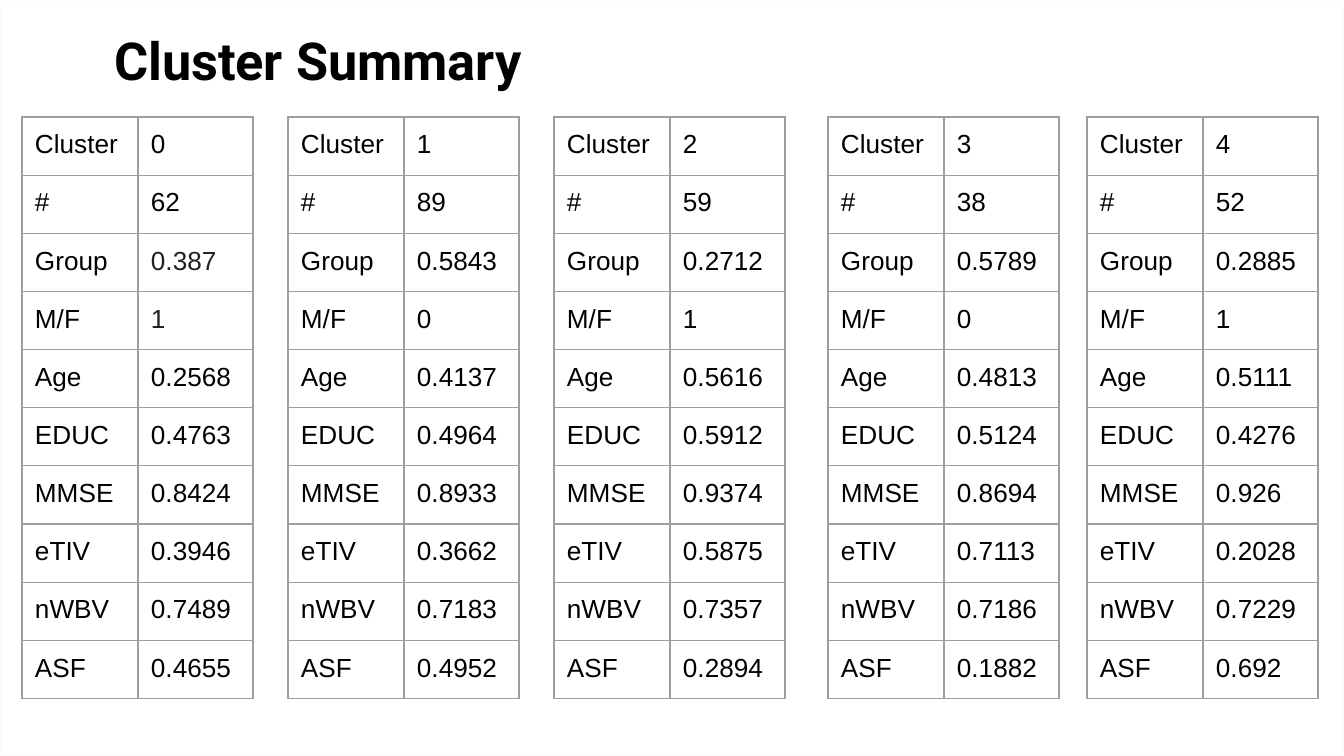
from lxml import etree
from pptx import Presentation
from pptx import util as u
from pptx.dml.color import RGBColor
from pptx.enum import shapes, text
from pptx.oxml import ns

PX = 914400 / 134.4  # EMU per px
W, H = 1344, 756
INSET = 13
TABLE_TOP, TABLE_HEIGHT = 117, 582
COLUMN_WIDTHS = (116, 115)
BLACK, DARK_GREY, BORDER = "000000", "212121", "9E9E9E"

LABELS = ["Cluster", "#", "Group", "M/F", "Age", "EDUC", "MMSE", "eTIV", "nWBV", "ASF"]
# Left edge of each table and its values, in the order of LABELS
CLUSTERS = [
    (22, ["0", "62", "0.387", "1", "0.2568", "0.4763", "0.8424", "0.3946", "0.7489", "0.4655"]),
    (288, ["1", "89", "0.5843", "0", "0.4137", "0.4964", "0.8933", "0.3662", "0.7183", "0.4952"]),
    (554, ["2", "59", "0.2712", "1", "0.5616", "0.5912", "0.9374", "0.5875", "0.7357", "0.2894"]),
    (828, ["3", "38", "0.5789", "0", "0.4813", "0.5124", "0.8694", "0.7113", "0.7186", "0.1882"]),
    (1087, ["4", "52", "0.2885", "1", "0.5111", "0.4276", "0.926", "0.2028", "0.7229", "0.692"]),
]
GREY_VALUES = {("0", "Group"), ("0", "M/F")}


def px(n):
    return u.Emu(round(n * PX))


def rgb(code):
    return RGBColor.from_string(code)


def write(tf, words, size=14, font="Arial", color=BLACK, bold=False):
    p = tf.paragraphs[0]
    p.alignment = text.PP_ALIGN.LEFT
    r = p.add_run()
    r.text = words
    r.font.size = u.Pt(size)
    r.font.name = font
    r.font.bold = bold
    r.font.color.rgb = rgb(color)


def set_insets(box):
    box.margin_left = box.margin_right = px(INSET)
    box.margin_top = box.margin_bottom = px(INSET)


def set_borders(cell, color, width):
    """Draw all four cell edges; they must come before the fill in tcPr."""
    tc_pr = cell._tc.get_or_add_tcPr()
    for i, edge in enumerate(("a:lnL", "a:lnR", "a:lnT", "a:lnB")):
        ln = etree.Element(ns.qn(edge), w=str(u.Pt(width)))
        fill = etree.SubElement(ln, ns.qn("a:solidFill"))
        etree.SubElement(fill, ns.qn("a:srgbClr"), val=color)
        tc_pr.insert(i, ln)


def add_title(s, words):
    sp = s.shapes.title
    sp.left, sp.top, sp.width, sp.height = px(101), px(18), px(1142), px(84)
    tf = sp.text_frame
    tf.word_wrap = True
    tf.auto_size = text.MSO_AUTO_SIZE.NONE
    tf.vertical_anchor = text.MSO_ANCHOR.MIDDLE
    set_insets(tf)
    write(tf, words, size=28, font="Roboto", bold=True)


def add_backdrop(s):
    """Cover the slide with a white panel behind the title."""
    sp = s.shapes.add_shape(shapes.MSO_SHAPE.RECTANGLE, 0, 0, px(W), px(H))
    sp.shadow.inherit = False
    sp.fill.solid()
    sp.fill.fore_color.rgb = rgb("FFFFFF")
    sp.line.color.rgb = rgb("FAFAFA")
    sp.line.width = u.Pt(0.75)
    s.shapes.title.element.addprevious(sp.element)


def add_cluster_table(s, left, values):
    frame = s.shapes.add_table(len(LABELS), 2, px(left), px(TABLE_TOP),
                               px(sum(COLUMN_WIDTHS)), px(TABLE_HEIGHT))
    table = frame.table
    table.first_row = table.horz_banding = False
    for column, width in zip(table.columns, COLUMN_WIDTHS):
        column.width = px(width)
    for row, (label, value) in enumerate(zip(LABELS, values)):
        value_color = DARK_GREY if (values[0], label) in GREY_VALUES else BLACK
        for col, (words, color) in enumerate([(label, BLACK), (value, value_color)]):
            cell = table.cell(row, col)
            cell.fill.background()
            set_borders(cell, BORDER, 0.75)
            set_insets(cell)
            write(cell.text_frame, words, color=color)


def main():
    prs = Presentation()
    prs.slide_width, prs.slide_height = px(W), px(H)
    s = prs.slides.add_slide(prs.slide_layouts[5])
    s.background.fill.solid()
    s.background.fill.fore_color.rgb = rgb("FAFAFA")
    add_backdrop(s)
    add_title(s, "Cluster Summary")
    for left, values in CLUSTERS:
        add_cluster_table(s, left, values)
    prs.save("out.pptx")


if __name__ == "__main__":
    main()
